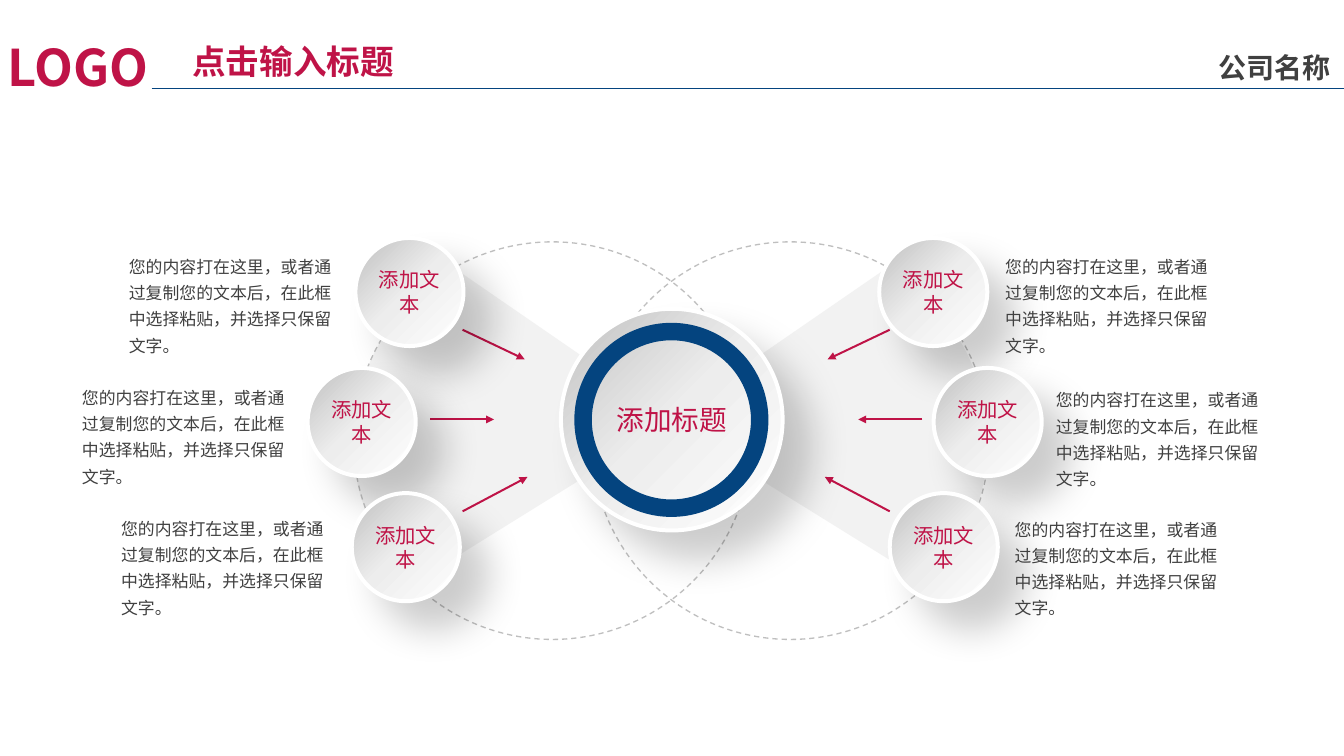
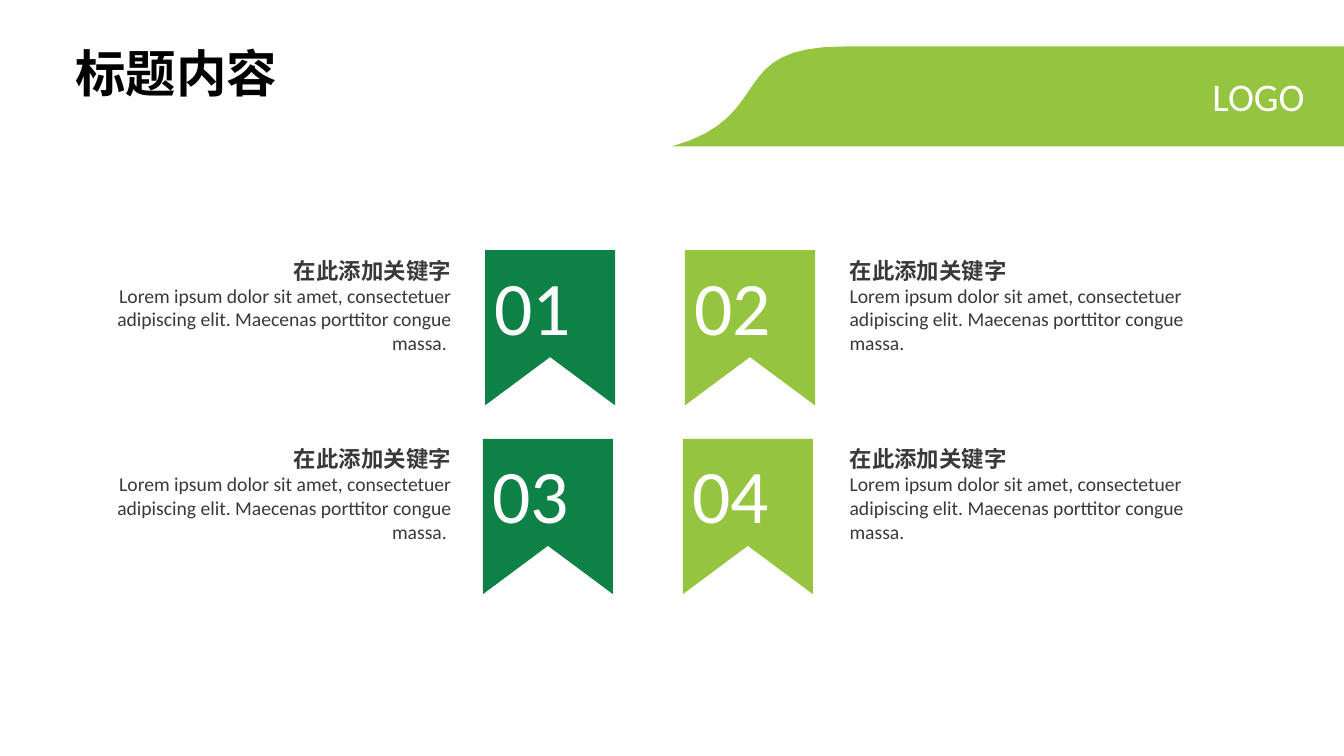
from pptx import Presentation
from pptx.dml.color import RGBColor as RGB
from pptx.enum.dml import MSO_LINE_DASH_STYLE as DASH
from pptx.enum.shapes import MSO_CONNECTOR as CONN, MSO_SHAPE as SHAPE
from pptx.enum.text import MSO_ANCHOR as ANCHOR, MSO_AUTO_SIZE as FIT, PP_ALIGN as ALIGN
from pptx.oxml import parse_xml
from pptx.oxml.ns import nsdecls
from pptx.util import Pt

COLORS = {
    "red": "BF1347", "navy": "04447F", "text": "404040", "pale": "F2F2F2",
    "dash": "BFBFBF", "white": "FFFFFF", "black": "000000", "lime": "95C53E",
    "green": "0E8146", "dark": "3B3838", "steel": "C0C0C0", "mist": "EDEDED",
}
CJK, LATIN = "Noto Sans CJK SC", "Calibri"
WIDTH, HEIGHT = 1012.5, 569.5
HEADER_INSETS = (5.8, 2.9)
NODES = [(267.8, 179.3), (231.8, 277.2), (265, 371.5),
         (662.4, 179.3), (703.4, 277.2), (670.3, 371.5)]
NOTES = [(90, 185), (54.7, 283.7), (84.2, 382.3),
         (750.2, 185), (788.4, 285.8), (757.4, 383)]
ARROWS = [(348.5, 248.4, 395.3, 270.7), (324, 316, 372.2, 316), (348.5, 385.2, 397.4, 359.3)]
FAN = [[(287.3, 256.3)],
       [(311, 223.9), (306, 226.1), (342.7, 202.3)],
       [(509, 316.8)],
       [(311.8, 439.2)],
       [(263.5, 380.9), (268.6, 360), (266.4, 329.8)],
       [(267.8, 304.6), (273.6, 277.9), (287.3, 256.3)]]
BANNER = [[(637.2, 35)],
          [(WIDTH, 35)],
          [(WIDTH, 110.3)],
          [(506.2, 110.3)],
          [(586.8, 87.8), (544.3, 34.6), (637.2, 35)]]
NOTE = "您的内容打在这里，或者通过复制您的文本后，在此框中选择粘贴，并选择只保留文字。"
KEYWORD = "在此添加关键字"
LOREM = "Lorem ipsum dolor sit amet, consectetuer adipiscing elit. Maecenas porttitor congue massa."


def style(size, color, name=CJK, bold=False):
    """Return the format values of a run."""
    return {"size": Pt(size), "bold": bold, "name": name, "color": color}


def write(sp, lines, align=ALIGN.LEFT, anchor=ANCHOR.TOP, insets=(7.2, 3.6), spacing=None):
    """Fill a shape with one paragraph per (text, style) pair."""
    tf = sp.text_frame
    dx, dy = insets
    frame = {"word_wrap": True, "auto_size": FIT.NONE, "vertical_anchor": anchor,
             "margin_left": Pt(dx), "margin_right": Pt(dx),
             "margin_top": Pt(dy), "margin_bottom": Pt(dy)}
    for key, value in frame.items():
        setattr(tf, key, value)
    for i, (text, fmt) in enumerate(lines):
        p = tf.add_paragraph() if i else tf.paragraphs[0]
        p.alignment, p.line_spacing = align, spacing
        r = p.add_run()
        r.text = text
        for key, value in fmt.items():
            if key == "color":
                r.font.color.rgb = RGB.from_string(COLORS[value])
            else:
                setattr(r.font, key, value)
        latin = r.font._element.find("{http://schemas.openxmlformats.org/drawingml/2006/main}latin")
        latin.addnext(parse_xml(f'<a:ea {nsdecls("a")} typeface="{CJK}"/>'))


def textbox(s, box, lines, **layout):
    """Add a text box."""
    write(s.shapes.add_textbox(*map(Pt, box)), lines, **layout)


def title(s, box, text, fmt, **layout):
    """Place and format the title placeholder."""
    sp = s.shapes.title
    sp.left, sp.top, sp.width, sp.height = map(Pt, box)
    write(sp, [(text, fmt)], **layout)


def solid(sp, color):
    """Give a shape a plain fill without line or shadow."""
    sp.fill.solid()
    sp.fill.fore_color.rgb = RGB.from_string(COLORS[color])
    sp.line.fill.background()
    sp.shadow.inherit = False


def outline(sp, color, width):
    """Set the line of a shape or connector."""
    sp.line.color.rgb = RGB.from_string(COLORS[color])
    sp.line.width = Pt(width)


def flatten(segments, steps=16):
    """Turn line points and cubic Bézier segments into a list of points."""
    points = list(segments[0])
    for seg in segments[1:]:
        if len(seg) == 1:
            points += seg
            continue
        curve = [points[-1], *seg]
        for t in (i / steps for i in range(1, steps + 1)):
            weights = ((1 - t) ** 3, 3 * t * (1 - t) ** 2, 3 * t * t * (1 - t), t ** 3)
            points.append(tuple(sum(w * q[k] for w, q in zip(weights, curve)) for k in (0, 1)))
    return points


def freeform(s, points, color):
    """Add a closed filled outline."""
    points = [(Pt(x), Pt(y)) for x, y in points]
    builder = s.shapes.build_freeform(*points[0])
    builder.add_line_segments(points[1:], close=True)
    sp = builder.convert_to_shape()
    solid(sp, color)
    return sp


def line(s, ends, color, width, arrow=False):
    """Add a straight line, with an arrowhead at its end if wanted."""
    sp = s.shapes.add_connector(CONN.STRAIGHT, *map(Pt, ends))
    outline(sp, color, width)
    if arrow:
        sp.line._get_or_add_ln().append(parse_xml(f'<a:tailEnd {nsdecls("a")} type="triangle"/>'))
    sp._element.spPr.append(parse_xml(f'<a:effectLst {nsdecls("a")}/>'))


def ring(s, x, y, d):
    """Add a dashed circle."""
    sp = s.shapes.add_shape(SHAPE.OVAL, *map(Pt, (x, y, d, d)))
    sp.fill.background()
    outline(sp, "dash", 1)
    sp.line.dash_style = DASH.DASH
    sp.shadow.inherit = False


def disc(s, x, y, d, text, size):
    """Add a shaded circle with a soft shadow and centred text."""
    sp = s.shapes.add_shape(SHAPE.OVAL, *map(Pt, (x, y, d, d)))
    stops = "".join(f'<a:gs pos="{pos}000"><a:srgbClr val="{COLORS[c]}"/></a:gs>'
                    for pos, c in ((0, "steel"), (49, "mist"), (100, "white")))
    spPr = sp._element.spPr
    spPr.append(parse_xml(f'<a:gradFill {nsdecls("a")} rotWithShape="1"><a:gsLst>{stops}</a:gsLst>'
                          '<a:lin ang="2700000" scaled="0"/></a:gradFill>'))
    outline(sp, "white", 3)
    spPr.append(parse_xml(
        f'<a:effectLst {nsdecls("a")}><a:outerShdw blurRad="{Pt(29)}" dist="{Pt(29)}" dir="2700000" '
        f'algn="tl" rotWithShape="0"><a:srgbClr val="{COLORS["black"]}"><a:alpha val="20000"/>'
        '</a:srgbClr></a:outerShdw></a:effectLst>'))
    write(sp, [(text, style(size, "red"))], align=ALIGN.CENTER, anchor=ANCHOR.MIDDLE, insets=(0, 3.6))


def flag(s, x, y, color, number):
    """Add a numbered ribbon with a notched foot."""
    w, h, notch = 98, 117, 80.6
    sp = freeform(s, [(x, y), (x + w, y), (x + w, y + h), (x + w / 2, y + notch), (x, y + h)], color)
    write(sp, [(number, style(57, "white", LATIN))], insets=(7.2, 7))


def hub_slide(s):
    """Build the hub with six nodes."""
    header = {"anchor": ANCHOR.MIDDLE, "insets": HEADER_INSETS}
    title(s, (139, 27.4, 180, 36.7), "点击输入标题", style(25.3, "red", bold=True), **header)
    fan = flatten(FAN)
    freeform(s, [(1010.2 - x, y) for x, y in fan], "pale")
    freeform(s, fan, "pale")
    for x in (266.4, 445.7):
        ring(s, x, 182.2, 299.5)
    for x1, y1, x2, y2 in ARROWS:
        line(s, (x1, y1, x2, y2), "red", 1.5, arrow=True)
        line(s, (1018.8 - x1, y1, 1018.8 - x2, y2), "red", 1.5, arrow=True)
    for x, y in NODES:
        disc(s, x, y, 81.4, "添加文本", 15.3)
    for x, y in NOTES:
        textbox(s, (x, y, 175.7, 87.1), [(NOTE, style(12.7, "text"))], spacing=1.3)
    disc(s, 422.6, 232.6, 167, "添加标题", 20.8)
    donut = s.shapes.add_shape(SHAPE.DONUT, *map(Pt, (432.7, 243.2, 146.2, 146.2)))
    donut.adjustments[0] = 0.09
    solid(donut, "navy")
    line(s, (114.2, 66.8, WIDTH, 66.8), "navy", 1)
    textbox(s, (912.2, 35.3, 100, 31), [("公司名称", style(21.1, "text", bold=True))], **header)
    textbox(s, (0, 23.8, 130, 51.8), [("LOGO", style(38, "red", bold=True))], **header)


def flags_slide(s):
    """Build the grid of four numbered ribbons."""
    title(s, (49.7, 28, 180, 53.3), "标题内容", style(38, "black", LATIN, True))
    freeform(s, flatten(BANNER), "lime")
    textbox(s, (890, 51.1, 100, 43.2), [("LOGO", style(29.5, "white", LATIN))], align=ALIGN.RIGHT)
    sides = [("green", 74.2, ALIGN.RIGHT, LOREM + " "), ("lime", 630, ALIGN.LEFT, LOREM)]
    for row in range(2):
        y = 188.4 + 142.2 * row
        for col, (color, x, align, body) in enumerate(sides):
            flag(s, 365.4 + 150.6 * col - 1.6 * row, y, color, f"{2 * row + col + 1:02}")
            textbox(s, (x, y, 275.8, 84.2),
                    [(KEYWORD, style(16.9, "dark", LATIN, True)), (body, style(14.8, "dark", LATIN))],
                    align=align, insets=(10.1, 5))


def main():
    """Build and save the presentation."""
    prs = Presentation()
    prs.slide_width, prs.slide_height = Pt(WIDTH), Pt(HEIGHT)
    for build in (hub_slide, flags_slide):
        build(prs.slides.add_slide(prs.slide_layouts[5]))
    prs.save("out.pptx")


if __name__ == "__main__":
    main()
